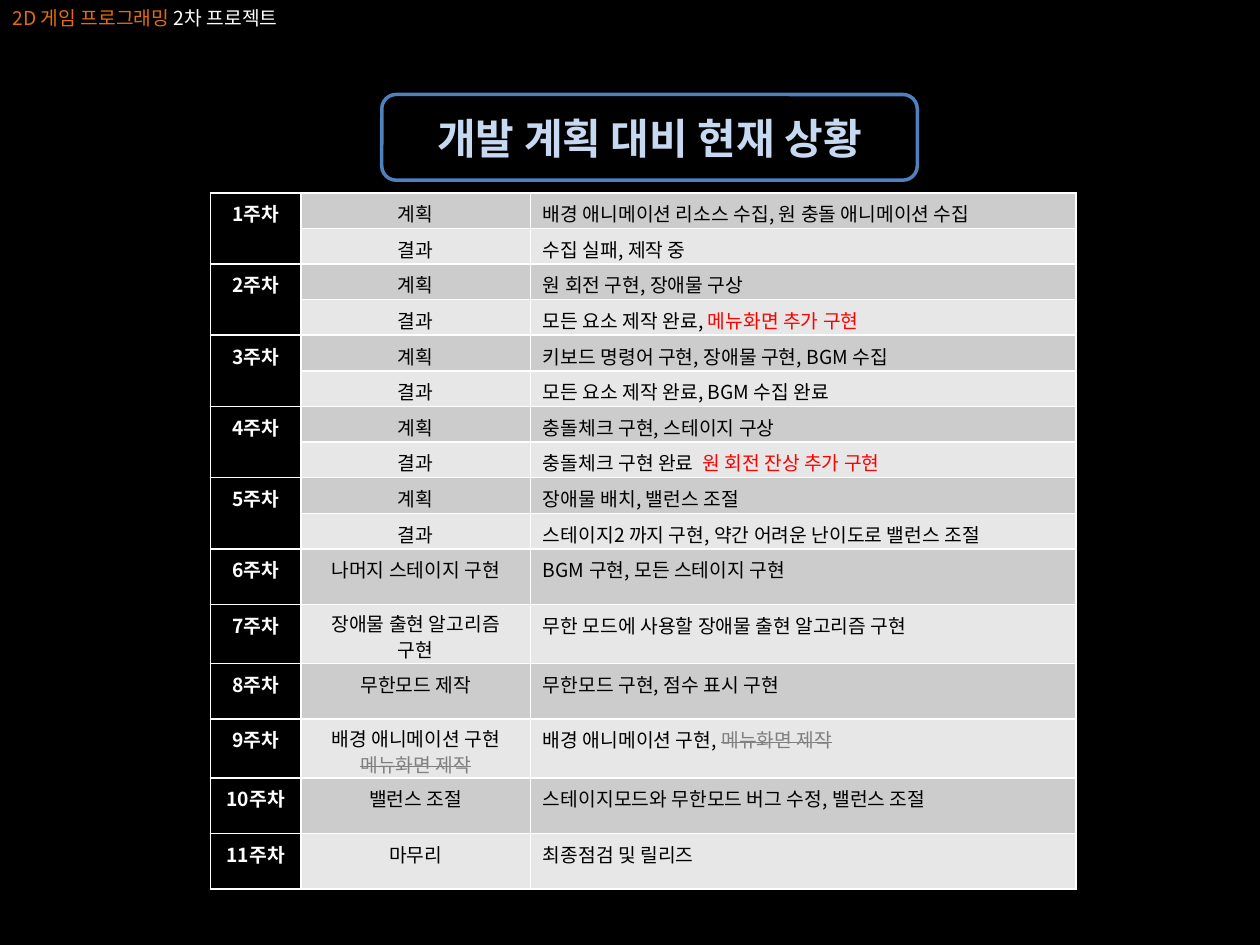
from lxml import etree
from pptx import Presentation
from pptx.dml.color import RGBColor
from pptx.enum import shapes, text
from pptx.oxml import ns
from pptx.util import Inches, Pt

FONT = "Noto Sans CJK KR"
COLORS = {
    "black": "000000", "white": "FFFFFF", "orange": "E46C0A",
    "title": "C6D9F1", "frame": "4F81BD", "added": "FF0000",
    "dropped": "808080", "dark": "CCCCCC", "light": "E7E7E7",
}

HEADER = [("2D 게임 프로그래밍 ", "orange"), ("2차 프로젝트", "white")]
TITLE = "개발 계획 대비 현재 상황"
REVIEWED_WEEKS = [
    ("배경 애니메이션 리소스 수집, 원 충돌 애니메이션 수집", ["수집 실패, 제작 중"]),
    ("원 회전 구현, 장애물 구상",
     ["모든 요소 제작 완료, ", ("메뉴화면 추가 구현", "added")]),
    ("키보드 명령어 구현, 장애물 구현, BGM 수집", ["모든 요소 제작 완료, BGM 수집 완료"]),
    ("충돌체크 구현, 스테이지 구상",
     ["충돌체크 구현 완료 ", (" 원 회전 잔상 추가 구현", "added")]),
    ("장애물 배치, 밸런스 조절",
     ["스테이지2 까지 구현, 약간 어려운 난이도로 밸런스 조절"]),
]
DROPPED_MENU = ("메뉴화면 제작", "dropped")
PLANNED_WEEKS = [
    ([["나머지 스테이지 구현"]], ["BGM 구현, 모든 스테이지 구현"]),
    ([["장애물 출현 알고리즘 구현"]], ["무한 모드에 사용할 장애물 출현 알고리즘 구현"]),
    ([["무한모드 제작"]], ["무한모드 구현, 점수 표시 구현"]),
    ([["배경 애니메이션 구현"], [DROPPED_MENU]], ["배경 애니메이션 구현, ", DROPPED_MENU]),
    ([["밸런스 조절"]], ["스테이지모드와 무한모드 버그 수정, 밸런스 조절"]),
    ([["마무리"]], ["최종점검 및 릴리즈"]),
]
TITLE_BOX = [Inches(v) for v in (3.03, 0.75, 4.25, 0.68)]
COLUMN_WIDTHS = [0.72, 1.82, 4.33]
REVIEW_ROW = 2.83 / 10
PLAN_ROW = 0.44
TWO_LINE_ROW = 0.47
TWO_LINE_WEEKS = (7, 9)


def rgb(name):
    return RGBColor.from_string(COLORS[name])


def write(frame, paragraphs, size, color, bold=False, align=text.PP_ALIGN.LEFT):
    for index, parts in enumerate(paragraphs):
        paragraph = frame.add_paragraph() if index else frame.paragraphs[0]
        paragraph.alignment = align
        paragraph.font.size = Pt(size)
        paragraph.font.bold = bold
        paragraph.font.name = FONT
        for part in parts:
            words, tone = (part, color) if isinstance(part, str) else part
            run = paragraph.add_run()
            run.text = words
            run.font.color.rgb = rgb(tone)
            properties = run.font._element
            if tone == "dropped":
                properties.set("strike", "sngStrike")
            etree.SubElement(properties, ns.qn("a:ea"), typeface=FONT)


def add_borders(cell):
    properties = cell._tc.get_or_add_tcPr()
    for side in ("lnL", "lnR", "lnT", "lnB"):
        line = etree.SubElement(properties, ns.qn("a:" + side), w=str(Pt(1)))
        solid = etree.SubElement(line, ns.qn("a:solidFill"))
        etree.SubElement(solid, ns.qn("a:srgbClr"), val=COLORS["white"])


def fill_cell(cell, paragraphs, fill, centered, heading=False, spacing=None):
    add_borders(cell)
    cell.fill.solid()
    cell.fill.fore_color.rgb = rgb(fill)
    cell.margin_bottom = 0
    write(cell.text_frame, paragraphs, 11, "white" if heading else "black", heading,
          text.PP_ALIGN.CENTER if centered else text.PP_ALIGN.LEFT)
    if spacing:
        for paragraph in cell.text_frame.paragraphs:
            paragraph.line_spacing = spacing


rows = []
for week, (plan, result) in enumerate(REVIEWED_WEEKS, 1):
    rows.append((week, [["계획"]], [plan], REVIEW_ROW))
    rows.append((None, [["결과"]], result, REVIEW_ROW))
for week, (task, detail) in enumerate(PLANNED_WEEKS, len(REVIEWED_WEEKS) + 1):
    height = TWO_LINE_ROW if week in TWO_LINE_WEEKS else PLAN_ROW
    rows.append((week, task, detail, height))

deck = Presentation()
deck.slide_width, deck.slide_height = Inches(10), Inches(7.5)
slide = deck.slides.add_slide(deck.slide_layouts[5])
slide.background.fill.solid()
slide.background.fill.fore_color.rgb = rgb("black")

title = slide.shapes.title
title.left, title.top, title.width, title.height = TITLE_BOX
title.text_frame.auto_size = text.MSO_AUTO_SIZE.NONE
title.text_frame.vertical_anchor = text.MSO_ANCHOR.MIDDLE
write(title.text_frame, [[TITLE]], 24, "title", True, text.PP_ALIGN.CENTER)

title_frame = slide.shapes.add_shape(shapes.MSO_SHAPE.ROUNDED_RECTANGLE, *TITLE_BOX)
title_frame.shadow.inherit = False
title_frame.fill.background()
title_frame.line.color.rgb = rgb("frame")
title_frame.line.width = Pt(2)

header = slide.shapes.add_textbox(0, 0, Inches(2.53), Inches(0.29)).text_frame
header.word_wrap = False
header.auto_size = text.MSO_AUTO_SIZE.SHAPE_TO_FIT_TEXT
write(header, [HEADER], 11, "white")

schedule = slide.shapes.add_table(
    len(rows), len(COLUMN_WIDTHS), Inches(1.67), Inches(1.53),
    Inches(sum(COLUMN_WIDTHS)), Inches(sum(row[-1] for row in rows))).table
schedule.first_row = schedule.horz_banding = False
for column, width in zip(schedule.columns, COLUMN_WIDTHS):
    column.width = Inches(width)
for index, (week, task, detail, height) in enumerate(rows):
    schedule.rows[index].height = Inches(height)
    fill = "light" if index % 2 else "dark"
    spacing = 0.94 if week in TWO_LINE_WEEKS else None
    label = [[f"{week}주차"]] if week else []
    fill_cell(schedule.cell(index, 0), label, "black", True, True)
    fill_cell(schedule.cell(index, 1), task, fill, True, spacing=spacing)
    fill_cell(schedule.cell(index, 2), [detail], fill, False)
for index in range(0, 2 * len(REVIEWED_WEEKS), 2):
    schedule.cell(index, 0).merge(schedule.cell(index + 1, 0))

deck.save("out.pptx")
